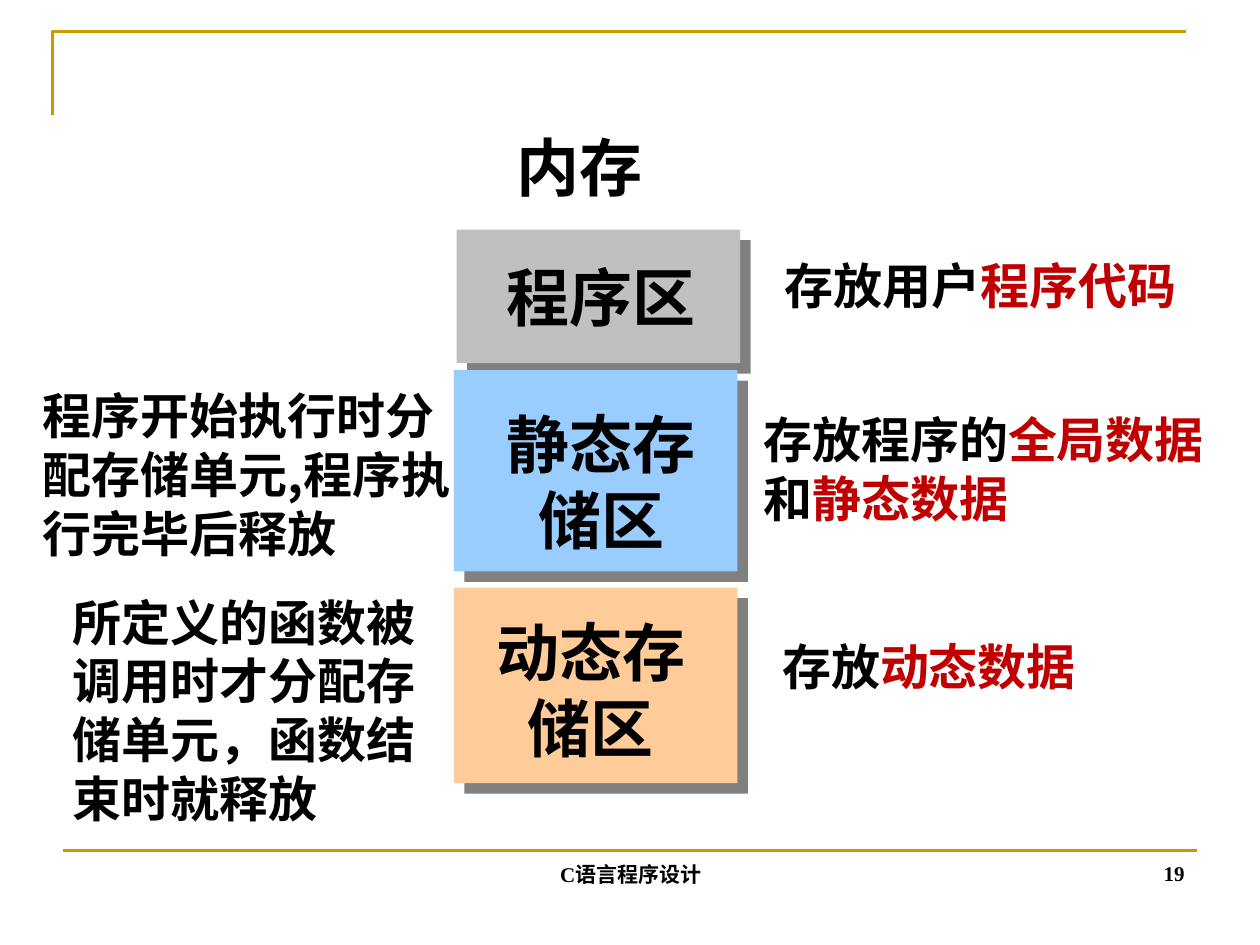
import pptx
import pptx.dml.color
import pptx.enum.shapes
import pptx.enum.text
import pptx.oxml
import pptx.oxml.ns
import pptx.util

Pt = pptx.util.Pt
RGB = pptx.dml.color.RGBColor
Align = pptx.enum.text.PP_ALIGN
Anchor = pptx.enum.text.MSO_ANCHOR
Kind = pptx.enum.shapes.MSO_SHAPE
Link = pptx.enum.shapes.MSO_CONNECTOR
qn = pptx.oxml.ns.qn

BLACK = RGB(0x00, 0x00, 0x00)
RED = RGB(0xC0, 0x00, 0x00)
GOLD = RGB(0xCC, 0x99, 0x00)
GRAY = RGB(0xC0, 0xC0, 0xC0)
BLUE = RGB(0x99, 0xCC, 0xFF)
PEACH = RGB(0xFF, 0xCC, 0x99)
SHADE = RGB(0x80, 0x80, 0x80)

SANS = "Noto Sans CJK JP"
SERIF = "Times New Roman"


def place(shape, box):
    shape.left, shape.top, shape.width, shape.height = map(Pt, box)


def write(shape, *lines, size=28, font=SANS, align=Align.LEFT,
          anchor=Anchor.TOP, wrap=True):
    """Fill a shape with lines; each line is a list of (text, colour)."""
    frame = shape.text_frame
    frame.word_wrap = wrap
    frame.auto_size = pptx.enum.text.MSO_AUTO_SIZE.NONE
    frame.vertical_anchor = anchor
    frame.margin_left = frame.margin_right = Pt(7.2)
    frame.margin_top = frame.margin_bottom = Pt(3.6)
    for i, line in enumerate(lines):
        para = frame.add_paragraph() if i else frame.paragraphs[0]
        para.alignment = align
        for text, color in line:
            run = para.add_run()
            run.text = text
            run.font.size = Pt(size)
            run.font.bold = True
            run.font.name = font
            run.font.color.rgb = color
            # Typeface for the Chinese characters
            east = pptx.oxml.parse_xml(
                f'<a:ea {pptx.oxml.ns.nsdecls("a")} typeface="{SANS}"/>')
            run.font._element.find(qn("a:latin")).addnext(east)


def label(slide, box, *lines, **style):
    shape = slide.shapes.add_textbox(*map(Pt, box))
    write(shape, *lines, **style)


def block(slide, box, color):
    """Filled rectangle with a hard shadow to the lower right."""
    shape = slide.shapes.add_shape(Kind.RECTANGLE, *map(Pt, box))
    shape.fill.solid()
    shape.fill.fore_color.rgb = color
    shape.line.fill.background()
    shape.shadow.inherit = False
    shade = pptx.oxml.parse_xml(
        f'<a:outerShdw {pptx.oxml.ns.nsdecls("a")} blurRad="0" '
        f'dist="{Pt(8.5)}" dir="2700000" algn="ctr" rotWithShape="0">'
        f'<a:srgbClr val="{SHADE}"/></a:outerShdw>')
    shape._element.spPr.find(qn("a:effectLst")).append(shade)


def stroke(shape):
    shape.line.color.rgb = GOLD
    shape.line.width = Pt(1.5)


def frame(slide):
    """Gold corner at the top and gold rule at the bottom."""
    pen = slide.shapes.build_freeform(Pt(30), Pt(66))
    pen.add_line_segments([(Pt(30), Pt(18)), (Pt(678), Pt(18))], close=False)
    corner = pen.convert_to_shape()
    corner.fill.background()
    corner.shadow.inherit = False
    stroke(corner)

    rule = slide.shapes.add_connector(
        Link.STRAIGHT, Pt(36), Pt(486), Pt(684), Pt(486))
    stroke(rule)
    rule._element.spPr.append(pptx.oxml.parse_xml(
        f'<a:effectLst {pptx.oxml.ns.nsdecls("a")}/>'))


def main():
    deck = pptx.Presentation()
    deck.slide_width, deck.slide_height = Pt(720), Pt(540)
    slide = deck.slides.add_slide(deck.slide_layouts[5])

    # Title above the memory column, wide enough for one line
    title = slide.shapes.title
    place(title, (288, 69.84, 96, 50.4))
    write(title, [("内存", BLACK)], size=36)

    # Frame and footer
    frame(slide)
    foot = dict(size=12, font=SERIF, anchor=Anchor.BOTTOM)
    label(slide, (246.24, 474.48, 228.24, 36), [("C语言程序设计", BLACK)],
          align=Align.CENTER, **foot)
    label(slide, (516.24, 473.76, 167.76, 36), [("19", BLACK)],
          align=Align.RIGHT, **foot)

    # Memory areas
    areas = [
        ("程序区", GRAY, (260.9, 131.3, 162, 76.2),
         (282.24, 144, 122.4, 50.4), False),
        ("静态存储区", BLUE, (259.4, 211.5, 162, 115),
         (270.72, 228.24, 145.44, 93.6), True),
        ("动态存储区", PEACH, (259.4, 335.8, 162, 111.7),
         (264.96, 347.04, 145.44, 93.6), True),
    ]
    for _, color, box, _, _ in areas:
        block(slide, box, color)
    for name, _, _, box, wrap in areas:
        label(slide, box, [(name, BLACK)], size=36, align=Align.CENTER,
              anchor=Anchor.MIDDLE, wrap=wrap)

    # What each area holds
    label(slide, (441.36, 142.56, 237.6, 41.04),
          [("存放用户", BLACK), ("程序代码", RED)], wrap=False)
    label(slide, (429.12, 230.4, 265.68, 74.88),
          [("存放程序的", BLACK), ("全局数据", RED)],
          [("和", BLACK), ("静态数据", RED)], wrap=False)
    label(slide, (439.92, 360, 182.16, 41.04),
          [("存放", BLACK), ("动态数据", RED)], wrap=False)

    # When storage is given and released
    label(slide, (17.28, 216.72, 247.68, 108),
          [("程序开始执行时分配存储单元,程序执行完毕后释放", BLACK)])
    label(slide, (34.56, 334.8, 212.4, 141.84),
          [("所定义的函数被调用时才分配存储单元，函数结束时就释放", BLACK)])

    deck.save("out.pptx")


if __name__ == "__main__":
    main()
